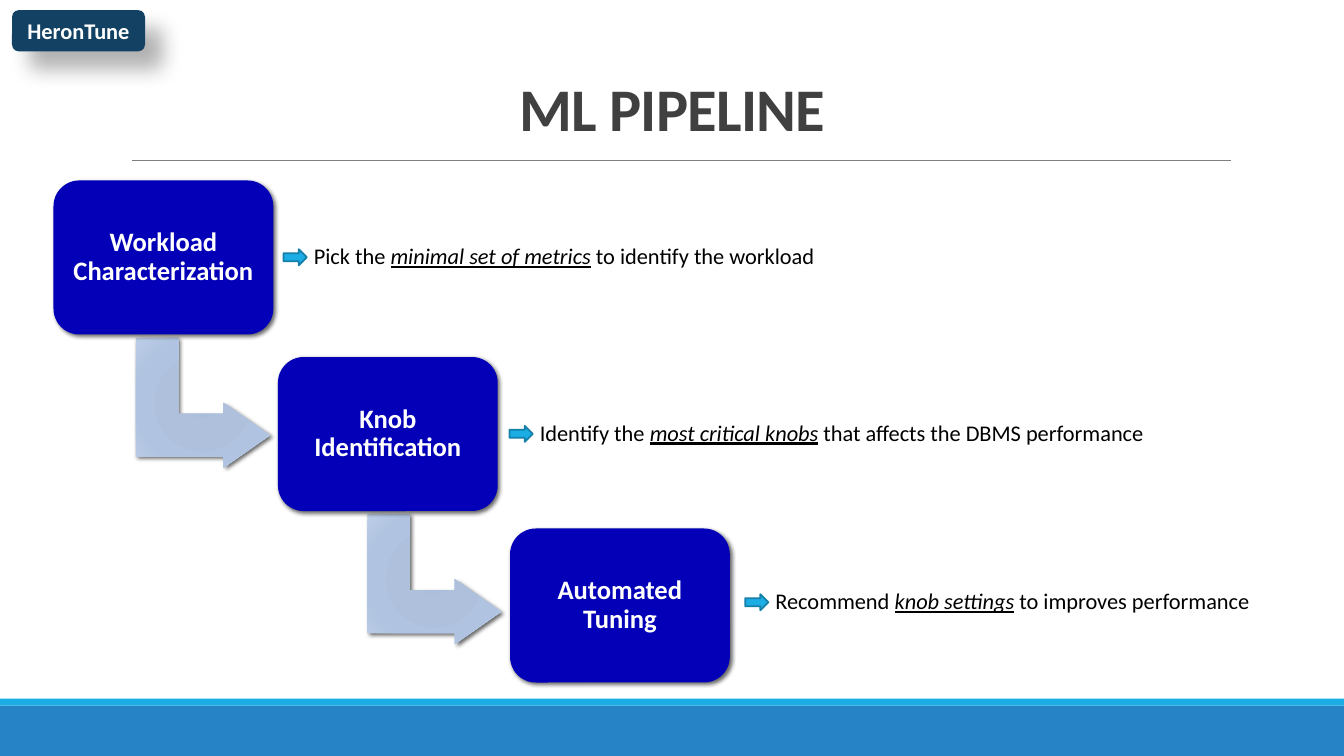
import pptx
import pptx.dml.color
import pptx.enum.shapes
import pptx.enum.text
import pptx.oxml
import pptx.oxml.ns
import pptx.util

Pt = pptx.util.Pt
SHAPES = pptx.enum.shapes.MSO_SHAPE
ALIGN = pptx.enum.text.PP_ALIGN
MIDDLE = pptx.enum.text.MSO_ANCHOR.MIDDLE

CARD_WIDTH, CARD_HEIGHT = 157, 110
POINTER_WIDTH, POINTER_HEIGHT = 16.6, 11.5
NOTE_OFFSET, NOTE_HEIGHT = 21.6, 40
BEND_WIDTH, BEND_HEIGHT = 92.9, 95.8

CARD_SHADOW = {"opacity": 60, "blur": 3, "distance": 2}
BADGE_SHADOW = {"opacity": 30, "blur": 15, "distance": 18}
BEND_STOPS = [(0, "ABBEDB"), (34, "AEC0DC"), (70, "B0C3E0"), (100, "BCCDE7")]

# Card corner, pointer left, row centre, label, note width, note runs
STEPS = [
    ((38.2, 128.9), 202.6, 183.8, "Workload Characterization", 373,
     ("Pick the ", "minimal set of metrics", " to identify the workload")),
    ((198.5, 255), 364, 309.9, "Knob Identification", 501,
     ("Identify the ", "most critical knobs", " that affects the DBMS performance")),
    ((364.3, 377.5), 532.3, 430.2, "Automated Tuning", 366,
     ("Recommend ", "knob settings", " to improves performance")),
]
BEND_CORNERS = [(98.6, 239.8), (263.8, 365.8)]


def rgb(color):
    return pptx.dml.color.RGBColor.from_string(color)


def apply(target, values):
    for name, value in values.items():
        setattr(target, name, value)


def set_frame(frame, inset=0):
    apply(frame, {"word_wrap": True, "vertical_anchor": MIDDLE,
                  "margin_left": Pt(inset), "margin_right": Pt(inset),
                  "margin_top": Pt(inset), "margin_bottom": Pt(inset)})


def add_run(paragraph, text, size, color, **values):
    run = paragraph.add_run()
    run.text = text
    run.font.color.rgb = rgb(color)
    apply(run.font, {"name": "Calibri", "size": Pt(size), **values})
    return run


def add_block(slide, kind, left, top, width, height, fill=None, line=None):
    shape = slide.shapes.add_shape(kind, Pt(left), Pt(top), Pt(width), Pt(height))
    shape.shadow.inherit = False
    if fill:
        shape.fill.solid()
        shape.fill.fore_color.rgb = rgb(fill)
    if line:
        shape.line.color.rgb = rgb(line)
        shape.line.width = Pt(1.25)
    else:
        shape.line.fill.background()
    return shape


def add_shadow(shape, opacity, blur, distance):
    effects = shape._element.spPr.find(pptx.oxml.ns.qn("a:effectLst"))
    effects.append(pptx.oxml.parse_xml(
        f'<a:outerShdw {pptx.oxml.ns.nsdecls("a")} blurRad="{Pt(blur)}" '
        f'dist="{Pt(distance)}" dir="2700000" algn="tl" rotWithShape="0">'
        f'<a:srgbClr val="000000"><a:alpha val="{opacity * 1000}"/></a:srgbClr>'
        '</a:outerShdw>'))


def add_label(shape, text, size, inset, line_spacing):
    set_frame(shape.text_frame, inset)
    paragraph = shape.text_frame.paragraphs[0]
    apply(paragraph, {"alignment": ALIGN.CENTER, "line_spacing": line_spacing})
    add_run(paragraph, text, size, "FFFFFF", bold=True)


def add_title(slide, text):
    title = slide.shapes.title
    apply(title, {"left": Pt(142.6), "top": Pt(50.5), "width": Pt(675), "height": Pt(60)})
    set_frame(title.text_frame, 7.2)
    paragraph = title.text_frame.paragraphs[0]
    apply(paragraph, {"alignment": ALIGN.CENTER, "line_spacing": 0.85})
    run = add_run(paragraph, text, 43.2, "404040", bold=True)
    run.font._element.set("spc", "-50")


def add_rule(slide, left, right, y):
    rule = slide.shapes.add_connector(
        pptx.enum.shapes.MSO_CONNECTOR.STRAIGHT, Pt(left), Pt(y), Pt(right), Pt(y))
    rule.line.color.rgb = rgb("808080")
    rule.line.width = Pt(0.5)
    rule._element.spPr.append(pptx.oxml.parse_xml(
        f'<a:effectLst {pptx.oxml.ns.nsdecls("a")}/>'))


def add_bend(slide, left, top):
    bend = add_block(slide, SHAPES.BENT_UP_ARROW, left, top, BEND_WIDTH, BEND_HEIGHT)
    bend.rotation = 90
    for index, value in enumerate((0.328, 0.25, 0.358)):
        bend.adjustments[index] = value
    stops = "".join(f'<a:gs pos="{position * 1000}"><a:srgbClr val="{color}"/></a:gs>'
                    for position, color in BEND_STOPS)
    outline = bend._element.spPr.find(pptx.oxml.ns.qn("a:ln"))
    outline.addprevious(pptx.oxml.parse_xml(
        f'<a:gradFill {pptx.oxml.ns.nsdecls("a")} rotWithShape="1">'
        f'<a:gsLst>{stops}</a:gsLst><a:path path="circle">'
        '<a:fillToRect l="100000" t="100000" r="100000" b="100000"/>'
        '</a:path></a:gradFill>'))
    add_shadow(bend, **CARD_SHADOW)


def add_card(slide, left, top, label):
    card = add_block(slide, SHAPES.ROUNDED_RECTANGLE, left, top,
                     CARD_WIDTH, CARD_HEIGHT, "0300B8")
    card.adjustments[0] = 0.167
    add_shadow(card, **CARD_SHADOW)
    add_label(card, label, 19, 5, 0.9)


def add_note(slide, left, center, width, texts):
    add_block(slide, SHAPES.RIGHT_ARROW, left, center - POINTER_HEIGHT / 2,
              POINTER_WIDTH, POINTER_HEIGHT, "1CADE4", "1580A9")
    note = slide.shapes.add_textbox(Pt(left + NOTE_OFFSET), Pt(center - NOTE_HEIGHT / 2),
                                    Pt(width), Pt(NOTE_HEIGHT))
    set_frame(note.text_frame)
    paragraph = note.text_frame.paragraphs[0]
    paragraph.line_spacing = 0.9
    for text, stressed in zip(texts, (False, True, False)):
        add_run(paragraph, text, 16, "000000", italic=stressed, underline=stressed)


def main():
    presentation = pptx.Presentation()
    apply(presentation, {"slide_width": Pt(960), "slide_height": Pt(540)})
    slide = presentation.slides.add_slide(presentation.slide_layouts[5])

    # Footer bands, title and rule
    add_block(slide, SHAPES.RECTANGLE, 0, 504, 960, 36, "2683C6")
    add_block(slide, SHAPES.RECTANGLE, 0, 499, 960, 5, "1CADE4")
    add_rule(slide, 94.3, 879, 114.5)
    add_title(slide, "ML PIPELINE")

    # Badge
    badge = add_block(slide, SHAPES.ROUNDED_RECTANGLE, 8.6, 7.2, 95, 29.5, "134163")
    add_shadow(badge, **BADGE_SHADOW)
    add_label(badge, "HeronTune", 16, 3.6, 1.0)

    # Pipeline
    for corner in BEND_CORNERS:
        add_bend(slide, *corner)
    for corner, pointer_left, center, label, note_width, texts in STEPS:
        add_card(slide, *corner, label)
        add_note(slide, pointer_left, center, note_width, texts)

    presentation.save("out.pptx")


if __name__ == "__main__":
    main()
